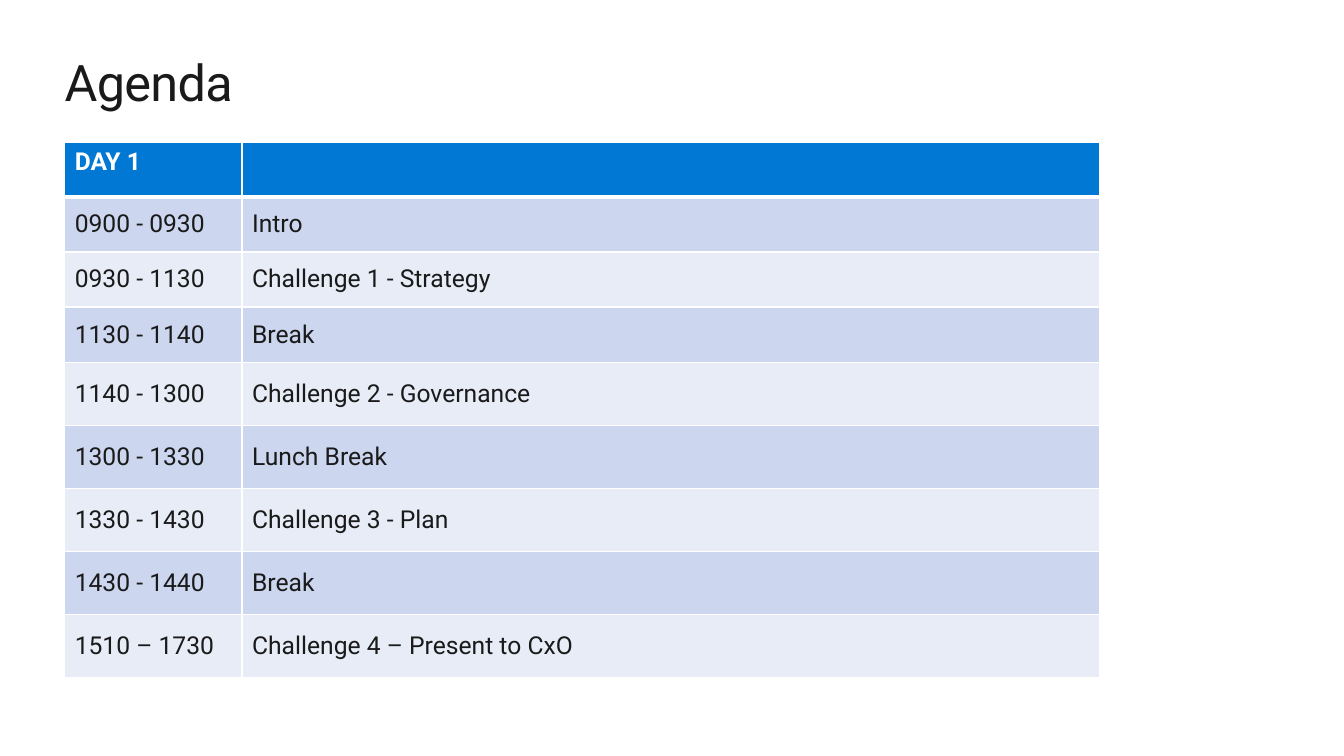
from dataclasses import dataclass

from lxml import etree
from pptx import Presentation
from pptx.dml.color import RGBColor
from pptx.enum.text import MSO_ANCHOR, MSO_AUTO_SIZE, PP_ALIGN
from pptx.oxml.ns import qn
from pptx.table import _Cell
from pptx.text.text import _Run
from pptx.util import Cm, Pt

TOP, MIDDLE = MSO_ANCHOR.TOP, MSO_ANCHOR.MIDDLE
LEFT = PP_ALIGN.LEFT
NO_AUTOFIT = MSO_AUTO_SIZE.NONE

WHITE = RGBColor(0xFF, 0xFF, 0xFF)
INK = RGBColor(0x1A, 0x1A, 0x1A)
BLUE = RGBColor(0x00, 0x78, 0xD4)
BAND_DARK = RGBColor(0xCC, 0xD6, 0xEF)
BAND_LIGHT = RGBColor(0xE7, 0xEC, 0xF7)
FONT = "Roboto"
MARGIN = Cm(1.63)


@dataclass
class Session:
    time: str
    topic: str
    height: float = 1.59


SESSIONS = [
    Session("DAY 1", "", 1.36),
    Session("0900 - 0930", "Intro", 1.39),
    Session("0930 - 1130", "Challenge 1 - Strategy", 1.39),
    Session("1130 - 1140", "Break", 1.39),
    Session("1140 - 1300", "Challenge 2 - Governance"),
    Session("1300 - 1330", "Lunch Break"),
    Session("1330 - 1430", "Challenge 3 - Plan"),
    Session("1430 - 1440", "Break"),
    Session("1510 – 1730", "Challenge 4 – Present to CxO"),
]
COLUMN_WIDTHS = (4.47, 21.62)


def format_run(r: _Run, size: float, color: RGBColor, bold: bool = False) -> None:
    r.font.name = FONT
    r.font.size = Pt(size)
    r.font.bold = bold
    r.font.color.rgb = color


def add_border(cell: _Cell, side: str, width: float) -> None:
    tcPr = cell._tc.get_or_add_tcPr()
    ln = etree.SubElement(tcPr, qn(f"a:{side}"), w=str(Pt(width)))
    fill = etree.SubElement(ln, qn("a:solidFill"))
    etree.SubElement(fill, qn("a:srgbClr"), val=str(WHITE))


def fill_cell(cell: _Cell, text: str, row: int) -> None:
    header = row == 0
    cell.text = text
    cell.vertical_anchor = TOP if header else MIDDLE
    for r in cell.text_frame.paragraphs[0].runs:
        format_run(r, 17.6, WHITE if header else INK, header)
    add_border(cell, "lnL", 1)
    add_border(cell, "lnR", 1)
    add_border(cell, "lnT", 3 if row == 1 else 1)
    add_border(cell, "lnB", 3 if header else 1)
    cell.fill.solid()
    band = BAND_DARK if row % 2 else BAND_LIGHT
    cell.fill.fore_color.rgb = BLUE if header else band


def main() -> None:
    prs = Presentation()
    prs.slide_width, prs.slide_height = Cm(33.87), Cm(19.05)
    s = prs.slides.add_slide(prs.slide_layouts[5])

    title = s.shapes.title
    title.left, title.top = MARGIN, Cm(1.27)
    title.width, title.height = Cm(30.61), Cm(1.55)
    tf = title.text_frame
    tf.text = "Agenda"
    tf.auto_size = NO_AUTOFIT
    tf.vertical_anchor = MIDDLE
    tf.margin_left = tf.margin_top = tf.margin_right = tf.margin_bottom = 0
    p = tf.paragraphs[0]
    p.alignment = LEFT
    r = p.runs[0]
    format_run(r, 36, INK)
    r.font._element.set("spc", "-50")

    table = s.shapes.add_table(
        len(SESSIONS), len(COLUMN_WIDTHS), MARGIN, Cm(3.6),
        Cm(sum(COLUMN_WIDTHS)), Cm(sum(session.height for session in SESSIONS)),
    ).table
    for column, width in zip(table.columns, COLUMN_WIDTHS):
        column.width = Cm(width)
    for row, session in enumerate(SESSIONS):
        table.rows[row].height = Cm(session.height)
        for col, text in enumerate((session.time, session.topic)):
            fill_cell(table.cell(row, col), text, row)

    prs.save("out.pptx")


if __name__ == "__main__":
    main()
